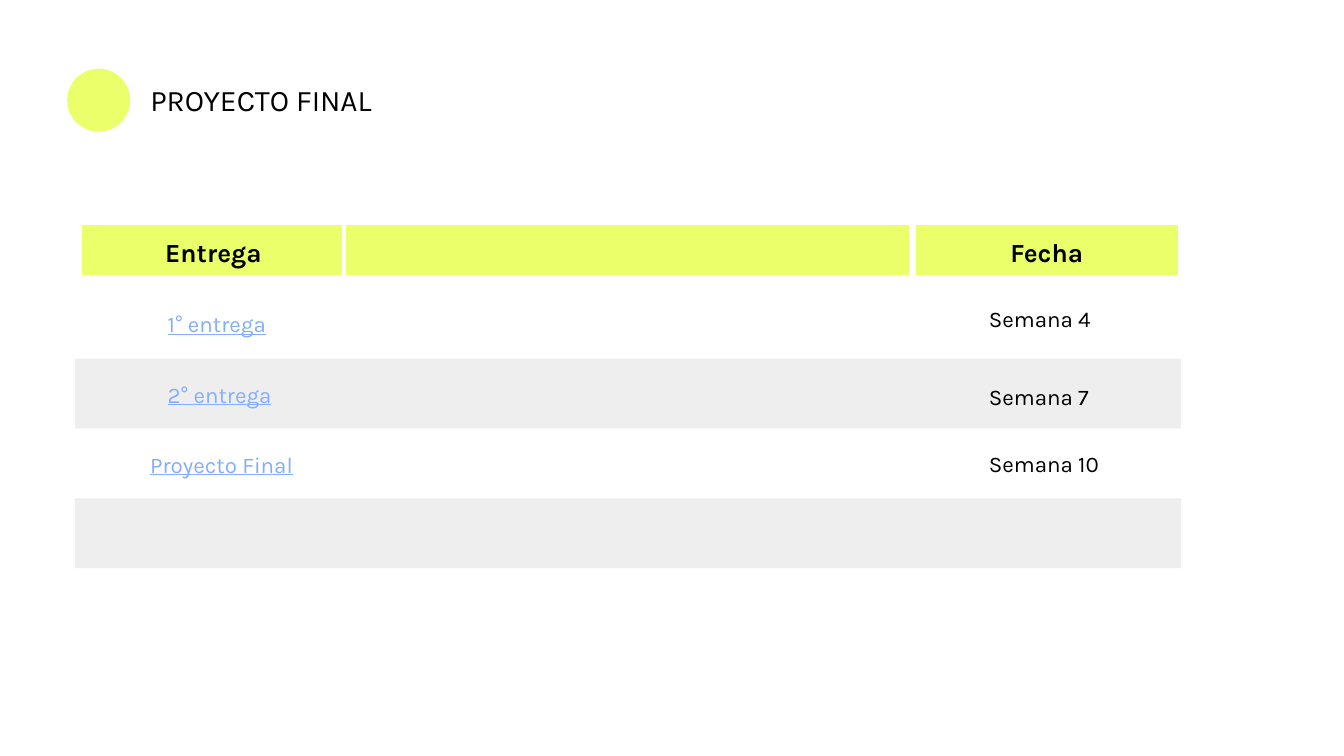
from pptx import Presentation
from pptx.dml.color import RGBColor
from pptx.enum.shapes import MSO_SHAPE as Shape
from pptx.enum.text import MSO_ANCHOR as Anchor, MSO_AUTO_SIZE as AutoSize, PP_ALIGN as Align
from pptx.util import Cm, Pt

TITLE = "PROYECTO FINAL"
# text, left, width (cm)
HEADERS = [("Entrega", 1.52, 5.03), ("", 6.5, 10.72), ("Fecha", 17.27, 5.03)]
# delivery, its left, date, top of the date (cm)
ROWS = [
    ("1° entrega", 2.92, "Semana 4", 5.44),
    ("2° entrega", 2.92, "Semana 7", 6.91),
    ("Proyecto Final", 2.59, "Semana 10", 8.18),
]

FONT = "Karla"
BLACK = RGBColor(0x00, 0x00, 0x00)
WHITE = RGBColor(0xFF, 0xFF, 0xFF)
LIME = RGBColor(0xEA, 0xFF, 0x6A)
GREY = RGBColor(0xEE, 0xEE, 0xEE)
BLUE = RGBColor(0x83, 0xAE, 0xFB)

HEADER_TOP, HEADER_HEIGHT = 4.22, 1.02
STRIPE_LEFT, STRIPE_TOP, STRIPE_WIDTH = 1.42, 6.78, 20.9
ROW_HEIGHT = 1.32
DELIVERY_TOP, DELIVERY_PITCH = 5.54, 1.33
DATE_LEFT = 18.44
TEXT_WIDTH, TEXT_HEIGHT = 5.03, 1.17


def add_filled(slide, kind, color, box, outlined=False):
    shape = slide.shapes.add_shape(kind, *map(Cm, box))
    shape.shadow.inherit = False
    shape.fill.solid()
    shape.fill.fore_color.rgb = color
    if outlined:
        shape.line.color.rgb = WHITE
        shape.line.width = Pt(2.25)
    else:
        shape.line.fill.background()
    return shape


def write(shape, text, size, color=BLACK, align=Align.LEFT, bold=False):
    """Put one formatted paragraph in the shape and return the paragraph."""
    frame = shape.text_frame
    frame.word_wrap = True
    frame.auto_size = AutoSize.NONE
    frame.vertical_anchor = Anchor.TOP
    frame.margin_left = frame.margin_right = Cm(0.25)
    frame.margin_top = frame.margin_bottom = Cm(0.25)
    paragraph = frame.paragraphs[0]
    paragraph.text = text
    paragraph.alignment = align
    paragraph.font.name = FONT
    paragraph.font.size = Pt(size)
    paragraph.font.bold = bold
    paragraph.font.color.rgb = color
    return paragraph


def add_row_text(slide, text, left, top, color=BLACK):
    box = slide.shapes.add_textbox(Cm(left), Cm(top), Cm(TEXT_WIDTH), Cm(TEXT_HEIGHT))
    paragraph = write(box, text, 12, color)
    paragraph.line_spacing = 1.15
    return paragraph


def main():
    presentation = Presentation()
    presentation.slide_width, presentation.slide_height = Cm(25.4), Cm(14.29)
    slide = presentation.slides.add_slide(presentation.slide_layouts[5])

    title = slide.shapes.title
    title.left, title.top, title.width, title.height = map(Cm, (2.59, 1.3, 6.83, 1.19))
    write(title, TITLE, 16)
    add_filled(slide, Shape.OVAL, LIME, (1.27, 1.3, 1.19, 1.19))

    for row in (0, 2):
        top = STRIPE_TOP + row * ROW_HEIGHT
        add_filled(slide, Shape.RECTANGLE, GREY, (STRIPE_LEFT, top, STRIPE_WIDTH, ROW_HEIGHT))

    for text, left, width in HEADERS:
        header = add_filled(slide, Shape.RECTANGLE, LIME,
                            (left, HEADER_TOP, width, HEADER_HEIGHT), outlined=True)
        if text:
            write(header, text, 14, align=Align.CENTER, bold=True)

    for row, (delivery, left, date, date_top) in enumerate(ROWS):
        paragraph = add_row_text(slide, delivery, left, DELIVERY_TOP + row * DELIVERY_PITCH, BLUE)
        paragraph.font.underline = True
        add_row_text(slide, date, DATE_LEFT, date_top)

    presentation.save("out.pptx")


if __name__ == "__main__":
    main()
